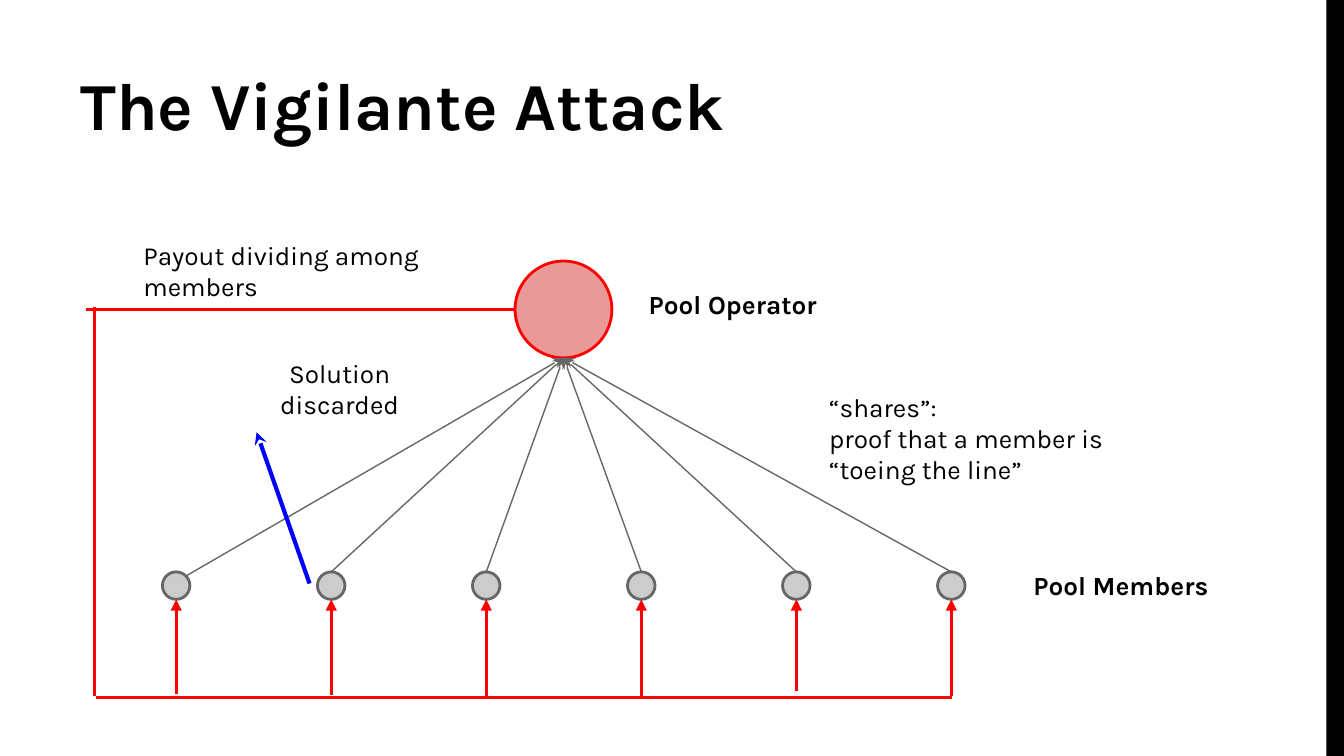
"""Build the slide on the vigilante attack in a mining pool."""
from lxml import etree
from pptx import Presentation
from pptx.dml.color import RGBColor
from pptx.enum import shapes, text
from pptx.oxml import ns
from pptx.util import Cm, Pt

BLACK = RGBColor(0x00, 0x00, 0x00)
ORANGE = RGBColor(0xFF, 0x99, 0x00)
RED = RGBColor(0xFF, 0x00, 0x00)
PINK = RGBColor(0xEA, 0x99, 0x99)
BLUE = RGBColor(0x00, 0x00, 0xFF)
GRAY = RGBColor(0x66, 0x66, 0x66)
SILVER = RGBColor(0xCC, 0xCC, 0xCC)

deck = Presentation()
deck.slide_width, deck.slide_height = Cm(25.4), Cm(14.29)
slide = deck.slides.add_slide(deck.slide_layouts[6])


def write(words, left, top, width, height=1.27, size=14, bold=False,
          align=text.PP_ALIGN.LEFT, anchor=text.MSO_ANCHOR.TOP):
    box = slide.shapes.add_textbox(Cm(left), Cm(top), Cm(width), Cm(height))
    frame = box.text_frame
    frame.word_wrap = True
    frame.vertical_anchor = anchor
    frame.margin_left = frame.margin_right = Cm(0.25)
    frame.margin_top = frame.margin_bottom = Cm(0.25)
    frame.text = words
    for para in frame.paragraphs:
        para.alignment = align
        font = para.font
        font.name, font.size, font.bold = "Karla", Pt(size), bold
        font.color.rgb = BLACK


def link(start, end, color, width=1.5, head=None):
    line = slide.shapes.add_connector(
        shapes.MSO_CONNECTOR.STRAIGHT, *map(Cm, start + end))
    line.line.color.rgb = color
    line.line.width = Pt(width)
    if head:
        tip = etree.SubElement(line.line._get_or_add_ln(), ns.qn("a:tailEnd"))
        tip.set("type", head)
    etree.SubElement(line._element.spPr, ns.qn("a:effectLst"))


for left, color in ((25.35, ORANGE), (25.07, BLACK)):
    bar = slide.shapes.add_shape(
        shapes.MSO_SHAPE.RECTANGLE, Cm(left), 0, deck.slide_width - Cm(left),
        deck.slide_height)
    bar.shadow.inherit = False
    bar.fill.solid()
    bar.fill.fore_color.rgb = color
    bar.line.fill.background()

write("The Vigilante Attack", 1.27, 0.58, 22.86, 2.39, size=36, bold=True,
      anchor=text.MSO_ANCHOR.BOTTOM)

mids = [3.33 + 2.93 * i for i in range(6)]
row = 11.07
hub = (10.65, 5.85)
nodes = [(hub, 1.83, PINK, RED)]
nodes += [((mid, row), 0.52, SILVER, GRAY) for mid in mids]
for (x, y), size, fill, edge in nodes:
    node = slide.shapes.add_shape(
        shapes.MSO_SHAPE.OVAL, Cm(x - size / 2), Cm(y - size / 2),
        Cm(size), Cm(size))
    node.shadow.inherit = False
    node.fill.solid()
    node.fill.fore_color.rgb = fill
    node.line.color.rgb = edge
    node.line.width = Pt(1.5)

starts = [(3.51, 10.89)] + [(mid, 10.81) for mid in mids[1:]]
for start in starts:
    link(start, (hub[0], 6.76), GRAY, width=0.75, head="stealth")

write("Pool Operator", 12.01, 5.21, 4.5, bold=True)
write("Pool Members", 19.28, 10.52, 5.5, bold=True)
write("Solution\ndiscarded", 4.77, 6.5, 3.3, align=text.PP_ALIGN.CENTER)
write("“shares”:\nproof that a member is\n“toeing the line”", 15.42, 7.14, 7.77)
write("Payout dividing among members", 2.46, 4.27, 7.0)

link((9.73, 5.85), (1.63, 5.85), RED)
link((1.78, 5.8), (1.78, 13.16), RED)
link((1.82, 13.18), (18.0, 13.18), RED)
for mid, base in zip(mids, (13.11, 13.13, 13.16, 13.18, 13.06, 13.16)):
    link((mid, base), (mid, 11.33), RED, head="triangle")
link((5.85, 11.03), (4.85, 8.17), BLUE, width=2.25, head="stealth")

deck.save("out.pptx")
